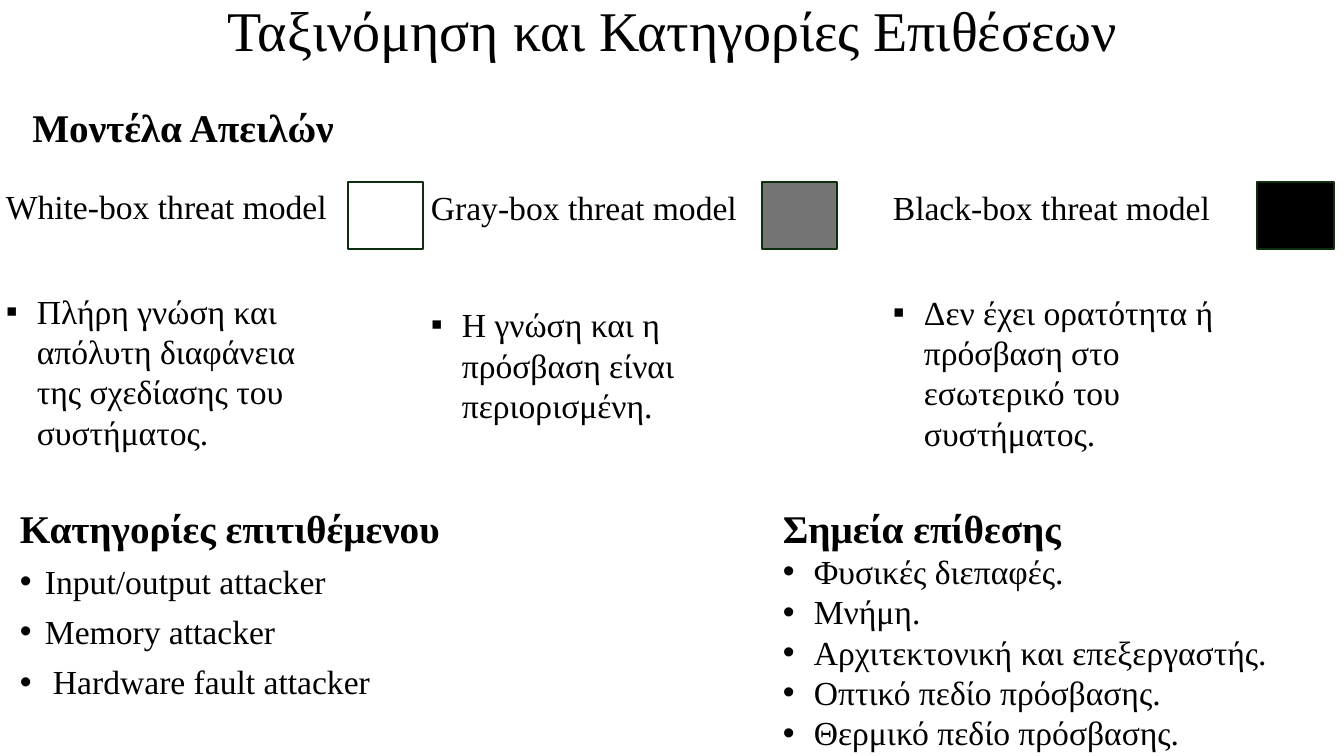
"""Builds a slide on threat models, attacker categories and attack points."""
from dataclasses import dataclass

from lxml import etree
from pptx import Presentation
from pptx import util as u
from pptx.dml.color import RGBColor
from pptx.enum import shapes, text
from pptx.oxml.ns import qn

PX = 914400 / 100.8


@dataclass(frozen=True)
class Theme:
    font: str = "Times New Roman"
    ink: str = "000000"
    outline: str = "0B2F10"
    title: int = 40
    heading: int = 28
    body: int = 24


THEME = Theme()

TITLE = ("Ταξινόμηση και Κατηγορίες Επιθέσεων", (93, 0, 1159, 67))
MODELS_HEADING = ("Μοντέλα Απειλών", (6, 98, 354, 57))

THREAT_MODELS = [
    {"label": "White-box threat model", "area": (-4, 181, 354, 283), "gap": 46,
     "knowledge": "Πλήρη γνώση και απόλυτη διαφάνεια της σχεδίασης του συστήματος.",
     "swatch": (348, 75), "fill": "FFFFFF"},
    {"label": "Gray-box threat model", "area": (421, 182, 332, 254), "gap": 55,
     "knowledge": "Η γνώση και η πρόσβαση είναι περιορισμένη.",
     "swatch": (762, 75), "fill": "747474"},
    {"label": "Black-box threat model", "area": (883, 182, 346, 281), "gap": 46,
     "knowledge": "Δεν έχει ορατότητα ή πρόσβαση στο εσωτερικό του συστήματος.",
     "swatch": (1257, 77), "fill": "000000"},
]
SWATCH_TOP, SWATCH_HEIGHT = 182, 67

LISTS = [
    {"heading": "Κατηγορίες επιτιθέμενου", "area": (10, 499, 443, 242),
     "entries": [("Input/output attacker", 25), ("Memory attacker", 25),
                 ("Hardware fault attacker", 33)],
     "spacing": {"before": 10, "line": 0.9}},
    {"heading": "Σημεία επίθεσης", "area": (773, 499, 514, 257),
     "entries": [(point, 31) for point in (
         "Φυσικές διεπαφές.", "Μνήμη.", "Αρχιτεκτονική και επεξεργαστής.",
         "Οπτικό πεδίο πρόσβασης.", "Θερμικό πεδίο πρόσβασης.")],
     "spacing": {}},
]


def px(length):
    return u.Emu(round(length * PX))


def write(frame, words, size=THEME.body, bold=False, align=text.PP_ALIGN.LEFT,
          line=1.0, before=0, bullet=None, hang=31):
    paragraph = frame.paragraphs[0]
    if paragraph.runs:
        paragraph = frame.add_paragraph()
    if bullet:
        properties = paragraph._p.get_or_add_pPr()
        properties.set("marL", str(px(hang)))
        properties.set("indent", str(-px(hang)))
        etree.SubElement(properties, qn("a:buFont")).set("typeface", "Arial")
        etree.SubElement(properties, qn("a:buChar")).set("char", bullet)
    paragraph.alignment = align
    paragraph.line_spacing = line
    paragraph.space_before = u.Pt(before)
    run = paragraph.add_run()
    run.text = words
    run.font.name = THEME.font
    run.font.size = u.Pt(size)
    run.font.bold = bold
    run.font.color.rgb = RGBColor.from_string(THEME.ink)


def add_frame(slide, area, anchor=text.MSO_ANCHOR.TOP):
    frame = slide.shapes.add_textbox(*map(px, area)).text_frame
    frame.word_wrap = True
    frame.vertical_anchor = anchor
    return frame


def add_threat_model(slide, model):
    left, width = model["swatch"]
    swatch = slide.shapes.add_shape(
        shapes.MSO_SHAPE.RECTANGLE,
        *map(px, (left, SWATCH_TOP, width, SWATCH_HEIGHT)))
    swatch.shadow.inherit = False
    swatch.fill.solid()
    swatch.fill.fore_color.rgb = RGBColor.from_string(model["fill"])
    swatch.line.color.rgb = RGBColor.from_string(THEME.outline)
    swatch.line.width = u.Pt(1.5)
    column = add_frame(slide, model["area"])
    write(column, model["label"])
    write(column, model["knowledge"], before=model["gap"], bullet="▪")


def main():
    deck = Presentation()
    deck.slide_width, deck.slide_height = px(1344), px(756)
    slide = deck.slides.add_slide(deck.slide_layouts[6])

    title, area = TITLE
    write(add_frame(slide, area, text.MSO_ANCHOR.MIDDLE), title,
          size=THEME.title, align=text.PP_ALIGN.CENTER, line=0.9)
    heading, area = MODELS_HEADING
    write(add_frame(slide, area), heading, size=THEME.heading, bold=True,
          align=text.PP_ALIGN.CENTER)

    for model in THREAT_MODELS:
        add_threat_model(slide, model)

    for group in LISTS:
        frame = add_frame(slide, group["area"])
        write(frame, group["heading"], size=THEME.heading, bold=True)
        for entry, hang in group["entries"]:
            write(frame, entry, bullet="•", hang=hang, **group["spacing"])

    deck.save("out.pptx")


if __name__ == "__main__":
    main()
